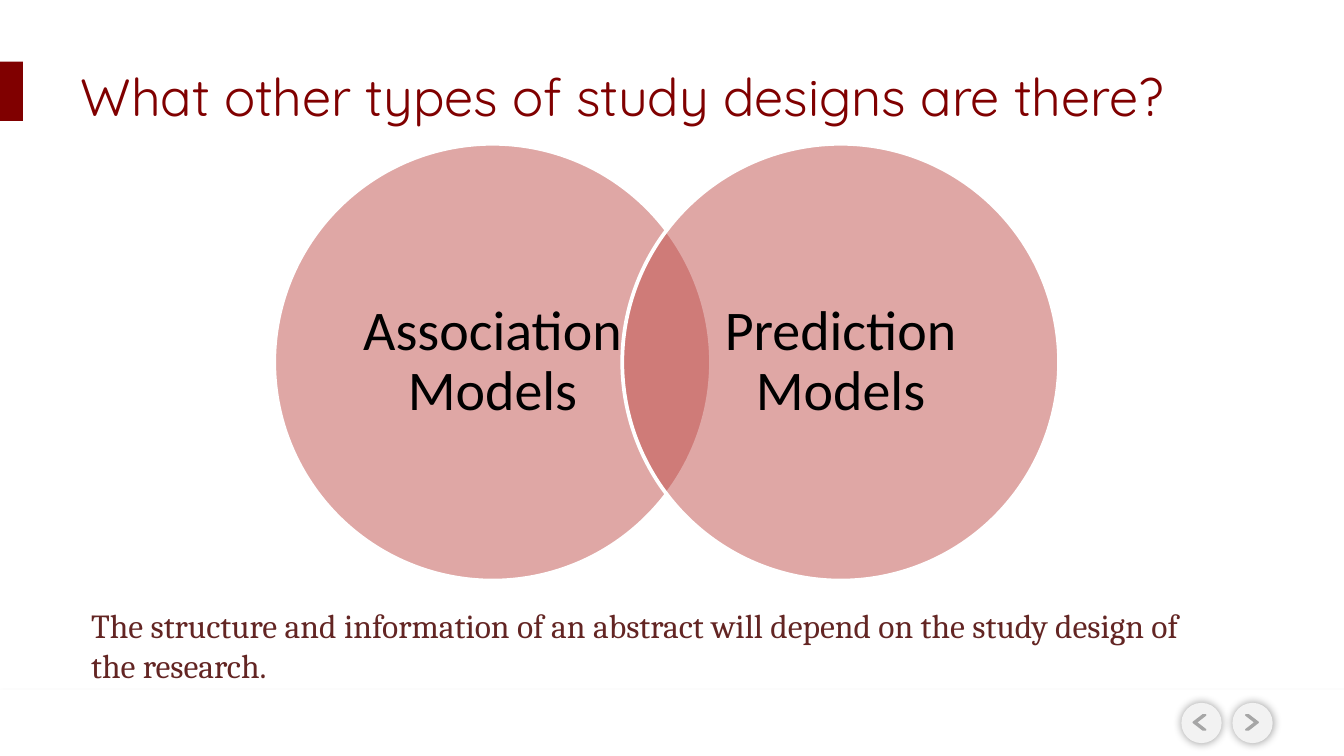
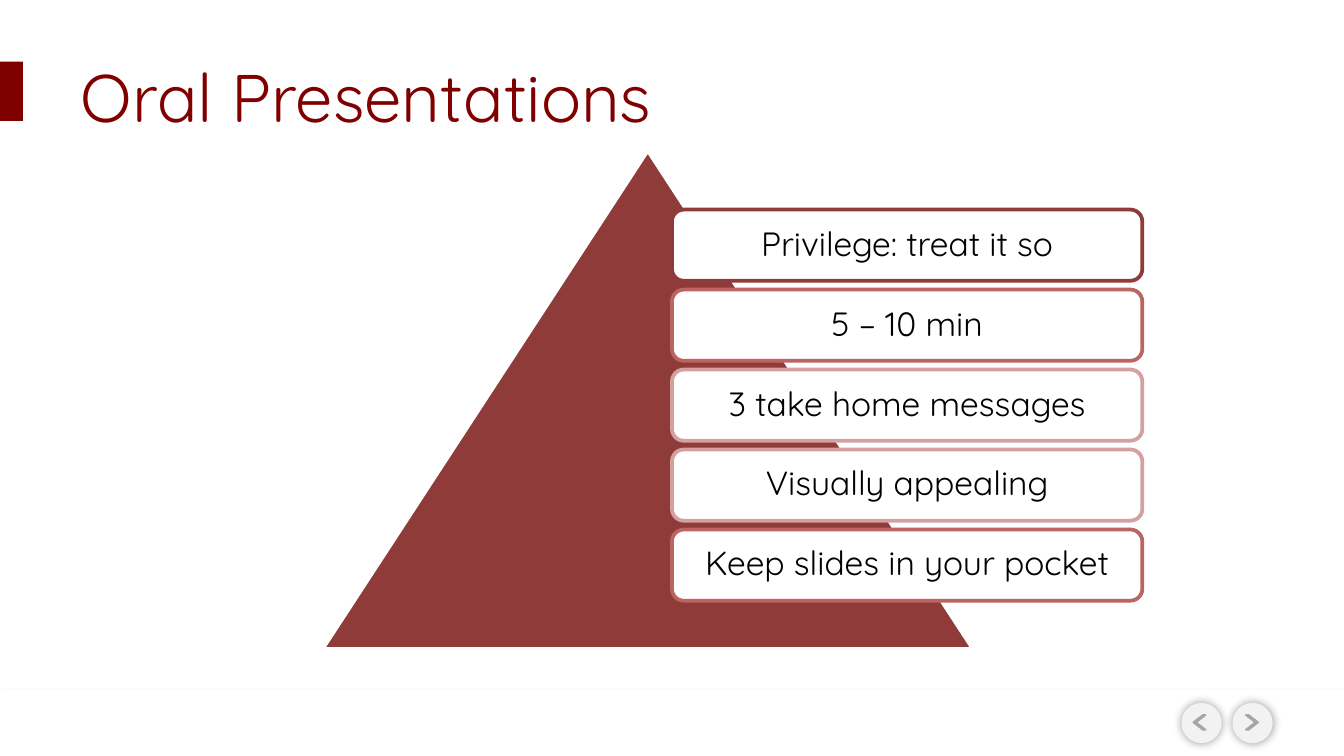
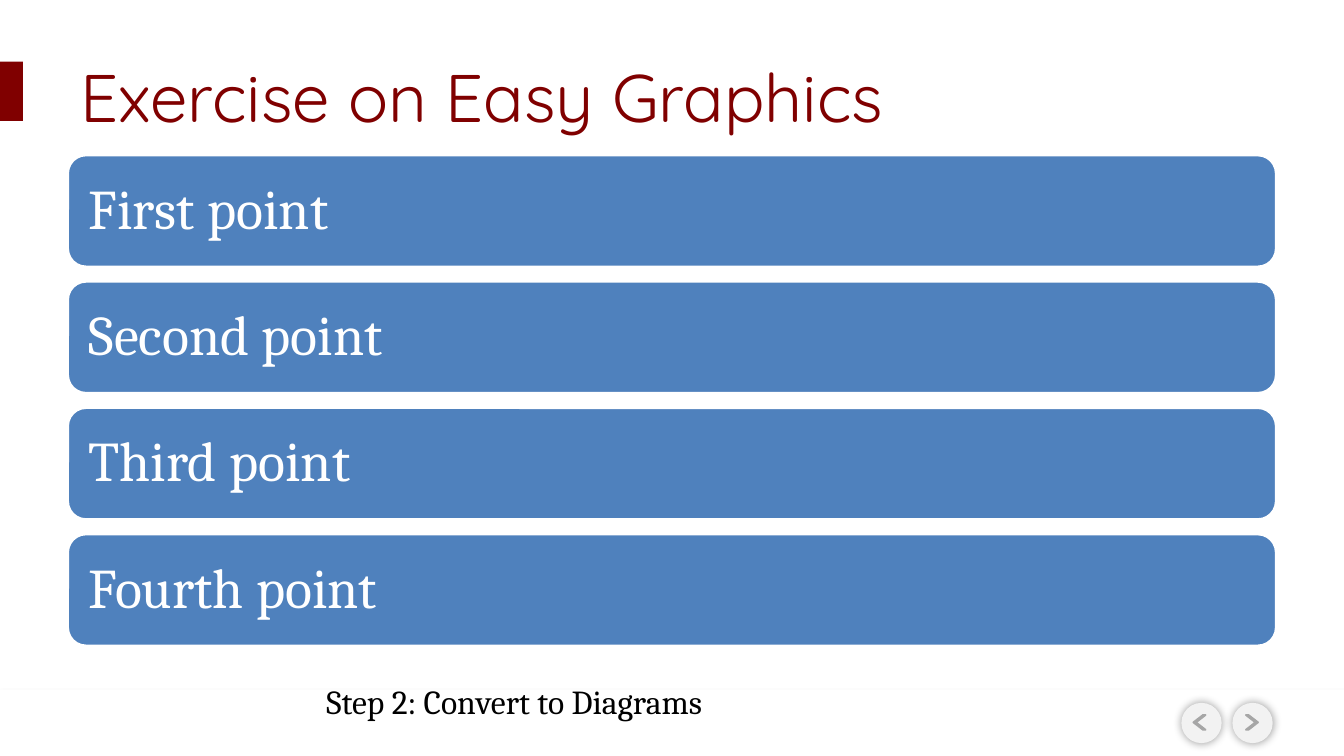
from dataclasses import dataclass

from lxml.etree import SubElement
from pptx import Presentation
from pptx.dml.color import RGBColor
from pptx.enum.shapes import MSO_SHAPE
from pptx.enum.text import MSO_ANCHOR, MSO_AUTO_SIZE, PP_ALIGN
from pptx.oxml.ns import qn
from pptx.util import Inches, Pt

COLORS = {
    "white": "FFFFFF",
    "black": "000000",
    "maroon": "800000",
    "wine": "632523",
    "brick": "8E3B39",
    "rose": "BB6462",
    "blush": "D3A1A0",
    "red": "C0504D",
    "blue": "4F81BD",
    "button": "F2F2F2",
    "arrow": "A6A6A6",
}
TITLE_FONT, BODY_FONT, VENN_FONT = "Quicksand", "Cambria", "Calibri"


@dataclass(frozen=True)
class Box:
    left: float
    top: float
    width: float
    height: float

    def emu(self) -> tuple:
        return tuple(Inches(v) for v in (self.left, self.top, self.width, self.height))


@dataclass(frozen=True)
class TextStyle:
    font: str
    size: int
    color: str
    align: PP_ALIGN = PP_ALIGN.LEFT
    spacing: float = 1.0


@dataclass(frozen=True)
class Shadow:
    alpha: int
    blur: float
    distance: float = 0
    angle: int = 0


BAND_SHADOW = Shadow(35, 3.1, 1.8, 90)
BUTTON_SHADOW = Shadow(40, 5)


def rgb(name: str) -> RGBColor:
    return RGBColor.from_string(COLORS[name])


def write(tf, text: str, style: TextStyle) -> None:
    p = tf.paragraphs[0]
    p.alignment = style.align
    p.line_spacing = style.spacing
    r = p.add_run()
    r.text = text
    r.font.name = style.font
    r.font.size = Pt(style.size)
    r.font.color.rgb = rgb(style.color)


def add_shape(slide, kind, box: Box, fill: str, line: str = "", weight: float = 2,
              opacity: int = 100):
    sp = slide.shapes.add_shape(kind, *box.emu())
    sp.shadow.inherit = False
    sp.fill.solid()
    sp.fill.fore_color.rgb = rgb(fill)
    if opacity < 100:
        color = sp._element.spPr.find(qn("a:solidFill"))[0]
        SubElement(color, qn("a:alpha"), val=str(opacity * 1000))
    if line:
        sp.line.color.rgb = rgb(line)
        sp.line.width = Pt(weight)
    else:
        sp.line.fill.background()
    return sp


def add_label(sp, text: str, style: TextStyle, inset_x: float, inset_y: float) -> None:
    """Write text in the vertical middle of a shape."""
    tf = sp.text_frame
    tf.word_wrap = True
    tf.vertical_anchor = MSO_ANCHOR.MIDDLE
    tf.margin_left = tf.margin_right = Inches(inset_x)
    tf.margin_top = tf.margin_bottom = Inches(inset_y)
    write(tf, text, style)


def add_text(slide, box: Box, text: str, style: TextStyle, wrap: bool = True) -> None:
    tf = slide.shapes.add_textbox(*box.emu()).text_frame
    tf.word_wrap = wrap
    tf.auto_size = MSO_AUTO_SIZE.SHAPE_TO_FIT_TEXT
    write(tf, text, style)


def cast_shadow(sp, shadow: Shadow) -> None:
    effects = sp._element.spPr.find(qn("a:effectLst"))
    outer = SubElement(effects, qn("a:outerShdw"), blurRad=str(Pt(shadow.blur)),
                       dist=str(Pt(shadow.distance)), dir=str(shadow.angle * 60000),
                       algn="ctr", rotWithShape="0")
    color = SubElement(outer, qn("a:srgbClr"), val=COLORS["black"])
    SubElement(color, qn("a:alpha"), val=str(shadow.alpha * 1000))


def add_frame(slide) -> None:
    """Draw the title marker, footer band and navigation buttons."""
    add_shape(slide, MSO_SHAPE.RECTANGLE, Box(0, 0.46, 0.17, 0.44), "maroon")
    band = add_shape(slide, MSO_SHAPE.RECTANGLE, Box(0, 5.13, 10, 0.51), "white")
    cast_shadow(band, BAND_SHADOW)
    for left in (9.17, 8.79):
        button = add_shape(slide, MSO_SHAPE.OVAL, Box(left, 5.23, 0.3, 0.3), "button")
        cast_shadow(button, BUTTON_SHADOW)
    for left, fill, flipped in ((8.88, "blue", True), (9.27, "maroon", False)):
        chevron = add_shape(slide, MSO_SHAPE.CHEVRON, Box(left, 5.32, 0.09, 0.11),
                            fill, "arrow", 1)
        chevron.adjustments[0] = 0.79
        if flipped:
            chevron._element.spPr.find(qn("a:xfrm")).set("flipH", "1")


def new_slide(prs, title: str, size: int = 36, width: float = 8.33):
    slide = prs.slides.add_slide(prs.slide_layouts[5])
    add_frame(slide)
    sp = slide.shapes.title
    sp.left, sp.top, sp.width, sp.height = Box(0.5, 0.48, width, 0.46).emu()
    tf = sp.text_frame
    tf.word_wrap = True
    tf.auto_size = MSO_AUTO_SIZE.NONE
    tf.vertical_anchor = MSO_ANCHOR.MIDDLE
    write(tf, title, TextStyle(TITLE_FONT, size, "maroon"))
    return slide


def study_designs(prs) -> None:
    slide = new_slide(prs, "What other types of study designs are there?", 28, 8.92)
    add_text(slide, Box(0.58, 4.45, 8.67, 0.71),
             "The structure and information of an abstract will depend on "
             "the study design of the research.", TextStyle(BODY_FONT, 18, "wine"))
    style = TextStyle(VENN_FONT, 30, "black", PP_ALIGN.CENTER, 0.9)
    for left, text in ((2.04, "Association Models"), (4.63, "Prediction Models")):
        circle = add_shape(slide, MSO_SHAPE.OVAL, Box(left, 1.07, 3.25, 3.25),
                           "red", "white", opacity=50)
        add_label(circle, text, style, 0.18, 0.04)


def oral_presentations(prs) -> None:
    slide = new_slide(prs, "Oral Presentations")
    add_shape(slide, MSO_SHAPE.ISOSCELES_TRIANGLE, Box(2.4, 1.12, 4.84, 3.71),
              "brick", "white")
    style = TextStyle(TITLE_FONT, 18, "black", PP_ALIGN.CENTER, 0.9)
    tips = (
        ("Privilege: treat it so", "brick"),
        ("5 – 10 min", "rose"),
        ("3 take home messages", "blush"),
        ("Visually appealing", "blush"),
        ("Keep slides in your pocket", "rose"),
    )
    top, last_top = 1.56, 3.94
    pitch = (last_top - top) / (len(tips) - 1)
    for i, (text, line) in enumerate(tips):
        card = add_shape(slide, MSO_SHAPE.ROUNDED_RECTANGLE,
                         Box(5, top + i * pitch, 3.5, 0.53), "white", line)
        add_label(card, text, style, 0.07, 0.07)


def easy_graphics(prs) -> None:
    slide = new_slide(prs, "Exercise on Easy Graphics")
    style = TextStyle(BODY_FONT, 30, "white", spacing=0.9)
    top, pitch = 1.15, 0.94
    for i, ordinal in enumerate(("First", "Second", "Third", "Fourth")):
        bar = add_shape(slide, MSO_SHAPE.ROUNDED_RECTANGLE,
                        Box(0.5, top + i * pitch, 9, 0.84), "blue", "white")
        add_label(bar, f"{ordinal} point", style, 0.12, 0.12)
    add_text(slide, Box(2.33, 5.02, 3.36, 0.4), "Step 2: Convert to Diagrams",
             TextStyle(BODY_FONT, 18, "black"), wrap=False)


def main() -> None:
    prs = Presentation()
    prs.slide_width = Inches(10)
    prs.slide_height = prs.slide_width * 9 // 16
    study_designs(prs)
    oral_presentations(prs)
    easy_graphics(prs)
    prs.save("out.pptx")


if __name__ == "__main__":
    main()
